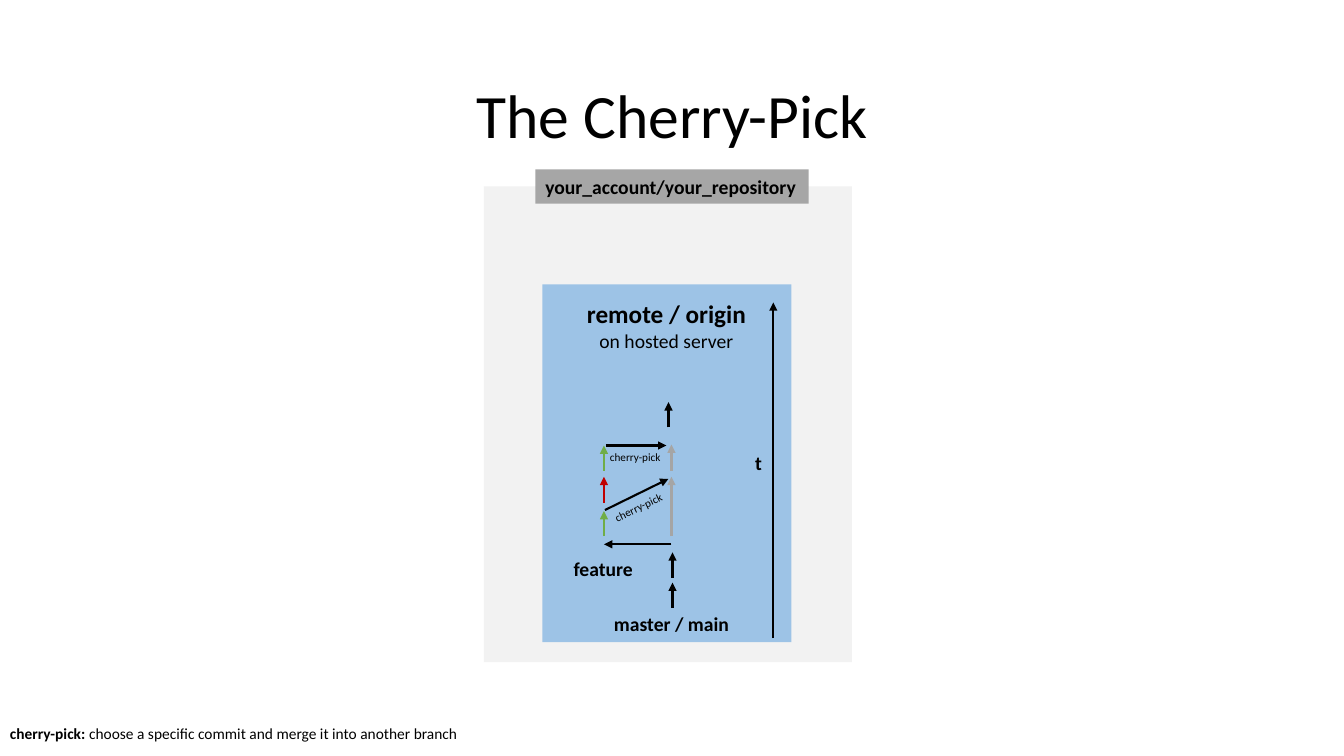
from lxml.etree import SubElement
from pptx import Presentation
from pptx.dml.color import RGBColor
from pptx.enum.shapes import MSO_CONNECTOR, MSO_SHAPE
from pptx.enum.text import MSO_ANCHOR, PP_ALIGN
from pptx.oxml.ns import qn
from pptx.util import Inches, Pt

THEME = {
    "font": "Calibri",
    "colors": {"text": "000000", "panel": "F2F2F2", "remote": "9DC3E6",
               "tag": "A6A6A6", "black": "000000", "picked": "70AD47",
               "skipped": "C00000", "merged": "A5A5A5"},
    "sizes": {"title": 44, "heading": 18, "label": 14, "note": 11, "small": 8},
    "line": 1.5,
}

# Content: left, top, width, height, fill
PANELS = [
    (4.8, 1.85, 3.65, 4.72, "panel"),
    (5.38, 2.82, 2.47, 3.55, "remote"),
    (5.31, 1.68, 2.71, 0.34, "tag"),
]

# Left, top, width, height, alignment, rotation, paragraphs of (text, size, bold) runs
LEFT, CENTER = PP_ALIGN.LEFT, PP_ALIGN.CENTER
TEXTS = [
    (0.92, 0.4, 11.5, 1.45, CENTER, 0, [[("The Cherry-Pick", "title", False)]]),
    (5.31, 1.68, 2.71, 0.34, LEFT, 0, [[("your_account/your_repository", "label", True)]]),
    (5.69, 2.91, 1.84, 0.64, CENTER, 0, [[("remote / origin", "heading", True)],
                                         [("on hosted server", "label", False)]]),
    (5.99, 6.02, 1.35, 0.34, LEFT, 0, [[("master / main", "label", True)]]),
    (5.59, 5.47, 0.79, 0.34, LEFT, 0, [[("feature", "label", True)]]),
    (7.39, 4.42, 0.27, 0.34, LEFT, 0, [[("t", "label", True)]]),
    (5.98, 4.91, 0.71, 0.24, LEFT, 334.5, [[("cherry-pick", "small", False)]]),
    (5.95, 4.41, 0.71, 0.24, LEFT, 0, [[("cherry-pick", "small", False)]]),
    (0, 7.14, 4.67, 0.27, LEFT, 0, [[
        ("cherry-pick: ", "note", True),
        ("choose a specific commit and merge it into another branch", "note", False)]]),
]

# Upright arrows: x, bottom, top, color
FEATURE_X, MAIN_X, TIME_X = 5.99, 6.66, 7.67
COMMITS = [
    (MAIN_X + 0.01, 6.03, 5.78, "black"),
    (MAIN_X + 0.01, 5.73, 5.48, "black"),
    (MAIN_X, 5.32, 4.73, "merged"),
    (MAIN_X, 4.67, 4.41, "merged"),
    (MAIN_X - 0.03, 4.24, 3.99, "black"),
    (FEATURE_X, 5.32, 5.07, "picked"),
    (FEATURE_X, 4.99, 4.73, "skipped"),
    (FEATURE_X, 4.67, 4.42, "picked"),
    (TIME_X, 6.33, 3, "black"),
]

# Arrows between the branches: start x, start y, end x, end y
BRANCHING = [
    (MAIN_X, 5.4, FEATURE_X, 5.4),
    (6, 5.06, 6.63, 4.75),
    (6.01, 4.42, 6.61, 4.42),
]


def color(name):
    return RGBColor.from_string(THEME["colors"][name])


def add_panel(slide, left, top, width, height, fill):
    shape = slide.shapes.add_shape(MSO_SHAPE.RECTANGLE, *map(Inches, (left, top, width, height)))
    shape.shadow.inherit = False
    shape.fill.solid()
    shape.fill.fore_color.rgb = color(fill)
    shape.line.fill.background()


def add_text(slide, left, top, width, height, alignment, rotation, paragraphs):
    box = slide.shapes.add_textbox(*map(Inches, (left, top, width, height)))
    box.rotation = rotation
    frame = box.text_frame
    frame.word_wrap = False
    frame.vertical_anchor = MSO_ANCHOR.MIDDLE
    for index, runs in enumerate(paragraphs):
        paragraph = frame.add_paragraph() if index else frame.paragraphs[0]
        paragraph.alignment = alignment
        paragraph.font.name = THEME["font"]
        paragraph.font.color.rgb = color("text")
        paragraph.font.size = Pt(THEME["sizes"][runs[0][1]])
        if len(runs) == 1:
            paragraph.font.bold = runs[0][2]
        for text, _, bold in runs:
            run = paragraph.add_run()
            run.text = text
            if len(runs) > 1:
                run.font.bold = bold


def add_arrow(slide, start_x, start_y, end_x, end_y, line_color="black"):
    arrow = slide.shapes.add_connector(
        MSO_CONNECTOR.STRAIGHT, *map(Inches, (start_x, start_y, end_x, end_y)))
    arrow.line.color.rgb = color(line_color)
    arrow.line.width = Pt(THEME["line"])
    SubElement(arrow.line._get_or_add_ln(), qn("a:tailEnd"), type="triangle")
    SubElement(arrow._element.spPr, qn("a:effectLst"))


def main():
    presentation = Presentation()
    presentation.slide_width = Inches(13.33)
    presentation.slide_height = Inches(7.5)
    slide = presentation.slides.add_slide(presentation.slide_layouts[6])

    # Repository and remote panels
    for panel in PANELS:
        add_panel(slide, *panel)

    # Commits, time axis and branch arrows
    for x, bottom, top, line_color in COMMITS:
        add_arrow(slide, x, bottom, x, top, line_color)
    for arrow in BRANCHING:
        add_arrow(slide, *arrow)

    # Title, labels and footnote
    for text in TEXTS:
        add_text(slide, *text)

    presentation.save("out.pptx")


if __name__ == "__main__":
    main()
